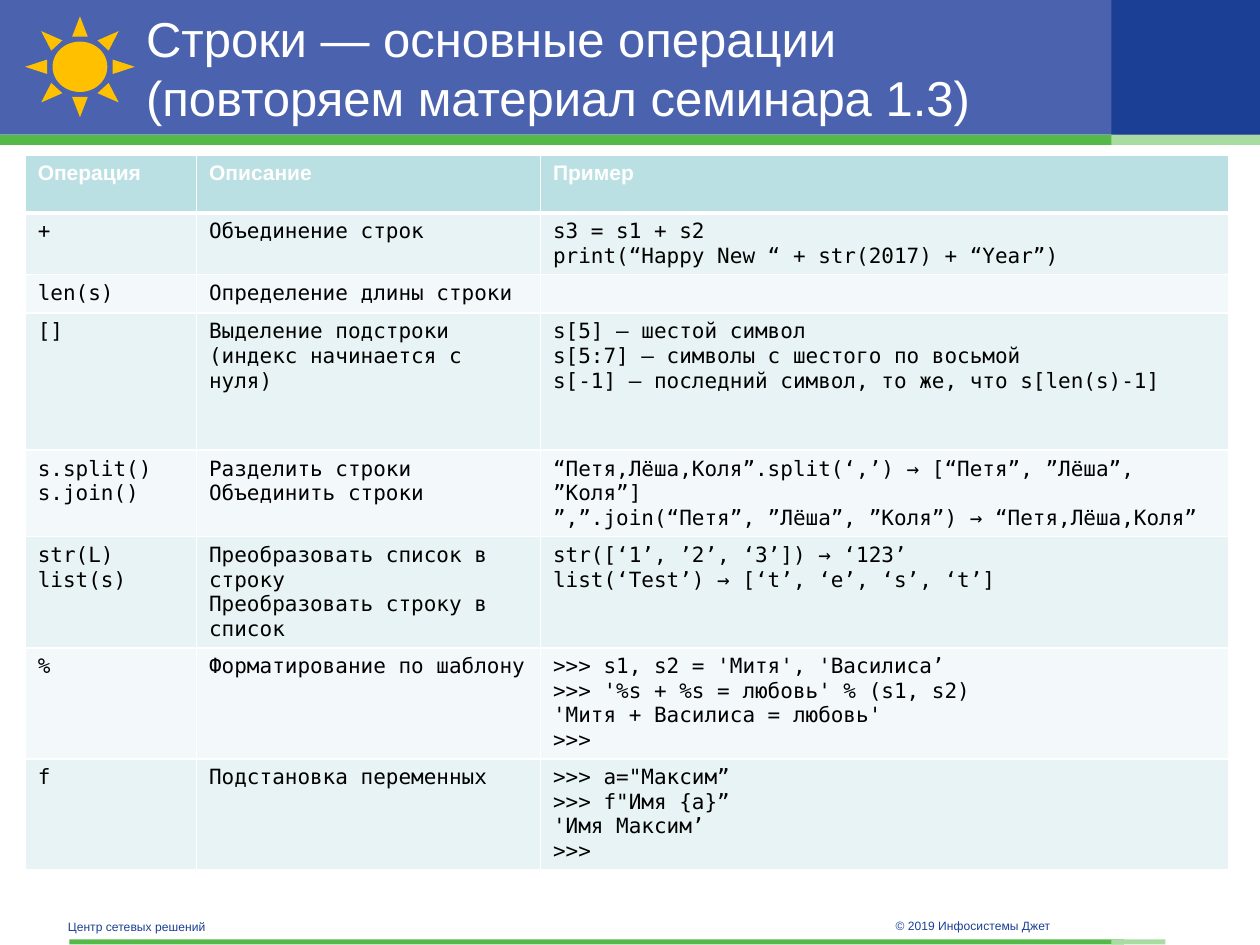
"""Build a slide with a table of the basic string operations."""
from lxml.etree import SubElement
from pptx import Presentation
from pptx.dml.color import RGBColor
from pptx.enum.shapes import MSO_SHAPE
from pptx.enum.text import MSO_ANCHOR, MSO_AUTO_SIZE, PP_ALIGN
from pptx.oxml.ns import qn
from pptx.util import Inches, Pt

COLORS = {
    "band": "4B63AE", "navy": "1B3F94", "green": "54B948", "pale_green": "A9DCA3",
    "white": "FFFFFF", "black": "000000", "sun": "FFC000",
    "header": "BBE0E3", "odd_row": "E7F3F4", "even_row": "F3F9FA",
}
OPERATIONS = [
    ("Операция", "Описание", "Пример"),
    ("+", "Объединение строк", "s3 = s1 + s2\nprint(“Happy New “ + str(2017) + “Year”)"),
    ("len(s)", "Определение длины строки", ""),
    ("[]", "Выделение подстроки (индекс начинается с нуля)",
     "s[5] — шестой символ\ns[5:7] — символы с шестого по восьмой\n"
     "s[-1] — последний символ, то же, что s[len(s)-1]"),
    ("s.split()\ns.join()", "Разделить строки\nОбъединить строки",
     "“Петя,Лёша,Коля”.split(‘,’) → [“Петя”, ”Лёша”, ”Коля”]\n"
     "”,”.join(“Петя”, ”Лёша”, ”Коля”) → “Петя,Лёша,Коля”"),
    ("str(L)\nlist(s)", "Преобразовать список в строку\nПреобразовать строку в список",
     "str([‘1’, ’2’, ‘3’]) → ‘123’\nlist(‘Test’) → [‘t’, ‘e’, ‘s’, ‘t’]"),
    ("%", "Форматирование по шаблону",
     ">>> s1, s2 = 'Митя', 'Василиса’\n>>> '%s + %s = любовь' % (s1, s2)\n"
     "'Митя + Василиса = любовь'\n>>>"),
    ("f", "Подстановка переменных",
     ">>> a=\"Максим”\n>>> f\"Имя {a}”\n'Имя Максим’\n>>>"),
]
COLUMN_SHARES = [13.6, 27.3, 54.6]
ROW_SHARES = [6.13, 6.53, 4, 14.53, 6.93, 6.13, 6.13, 6.13]

deck = Presentation()
deck.slide_width, deck.slide_height = Inches(10), Inches(7.5)
slide = deck.slides.add_slide(deck.slide_layouts[5])


def area(left, top, width, height):
    """Turn percentages of the slide into lengths."""
    sides = (deck.slide_width, deck.slide_height) * 2
    return [int(side * share / 100) for side, share in zip(sides, (left, top, width, height))]


def style(frame, size, color, font="Arial", bold=False):
    """Format every run of a text frame."""
    for paragraph in frame.paragraphs:
        for run in paragraph.runs:
            run.font.size, run.font.name, run.font.bold = Pt(size), font, bold
            run.font.color.rgb = RGBColor.from_string(COLORS[color])


for preset, color, place in [
    (MSO_SHAPE.RECTANGLE, "band", (0, 0, 100, 14.27)),
    (MSO_SHAPE.RECTANGLE, "navy", (88.2, 0, 11.8, 14.27)),
    (MSO_SHAPE.RECTANGLE, "green", (0, 14.27, 88.6, 1.07)),
    (MSO_SHAPE.RECTANGLE, "pale_green", (88.2, 14.27, 11.8, 1.07)),
    (MSO_SHAPE.RECTANGLE, "green", (5.5, 99.4, 83.7, 0.53)),
    (MSO_SHAPE.RECTANGLE, "pale_green", (88.2, 99.4, 4.3, 0.53)),
    (MSO_SHAPE.SUN, "sun", (2, 1.73, 8.7, 10.67)),
]:
    decoration = slide.shapes.add_shape(preset, *area(*place))
    decoration.shadow.inherit = False
    decoration.fill.solid()
    decoration.fill.fore_color.rgb = RGBColor.from_string(COLORS[color])
    decoration.line.fill.background()

for words, wraps, place in [
    ("© 2019 Инфосистемы Джет", True, (70.1, 95.87, 23.6, 2.67)),
    ("Центр сетевых решений", False, (4.4, 95.73, 33, 3.07)),
]:
    footer = slide.shapes.add_textbox(*area(*place)).text_frame
    footer.text = words
    footer.word_wrap = wraps
    footer.vertical_anchor = MSO_ANCHOR.MIDDLE
    style(footer, 12, "navy")
    footer.paragraphs[0].runs[0].font._element.set("baseline", "-25000")

title = slide.shapes.title
title.left, title.top, title.width, title.height = area(10.6, 1.87, 75.6, 10.53)
heading = title.text_frame
heading.text = "Строки — основные операции (повторяем материал семинара 1.3)"
heading.word_wrap = True
heading.auto_size = MSO_AUTO_SIZE.NONE
heading.vertical_anchor = MSO_ANCHOR.MIDDLE
heading.paragraphs[0].alignment = PP_ALIGN.LEFT
style(heading, 28, "white")
slide.shapes.element.append(title.element)

operations = slide.shapes.add_table(
    len(ROW_SHARES), len(COLUMN_SHARES),
    *area(2, 16.4, sum(COLUMN_SHARES), sum(ROW_SHARES))).table
for column, share in zip(operations.columns, COLUMN_SHARES):
    column.width = int(deck.slide_width * share / 100)
for row, share in zip(operations.rows, ROW_SHARES):
    row.height = int(deck.slide_height * share / 100)

for row_index, texts in enumerate(OPERATIONS):
    is_header = row_index == 0
    fill = "header" if is_header else ("even_row", "odd_row")[row_index % 2]
    for column_index, words in enumerate(texts):
        cell = operations.cell(row_index, column_index)
        cell.text_frame.text = words
        if is_header:
            style(cell.text_frame, 12, "white", bold=True)
        else:
            style(cell.text_frame, 12, "black", "DejaVu Sans Mono")
        if not words:
            SubElement(cell.text_frame.paragraphs[0]._p, qn("a:endParaRPr"), sz="1200")
        properties = cell._tc.get_or_add_tcPr()
        for side in ("lnL", "lnR", "lnT", "lnB"):
            is_thick = (row_index, side) in [(0, "lnB"), (1, "lnT")]
            border = SubElement(properties, qn(f"a:{side}"), w=str(Pt(3 if is_thick else 1)))
            paint = SubElement(border, qn("a:solidFill"))
            SubElement(paint, qn("a:srgbClr"), val=COLORS["white"])
        cell.fill.solid()
        cell.fill.fore_color.rgb = RGBColor.from_string(COLORS[fill])

deck.save("out.pptx")
